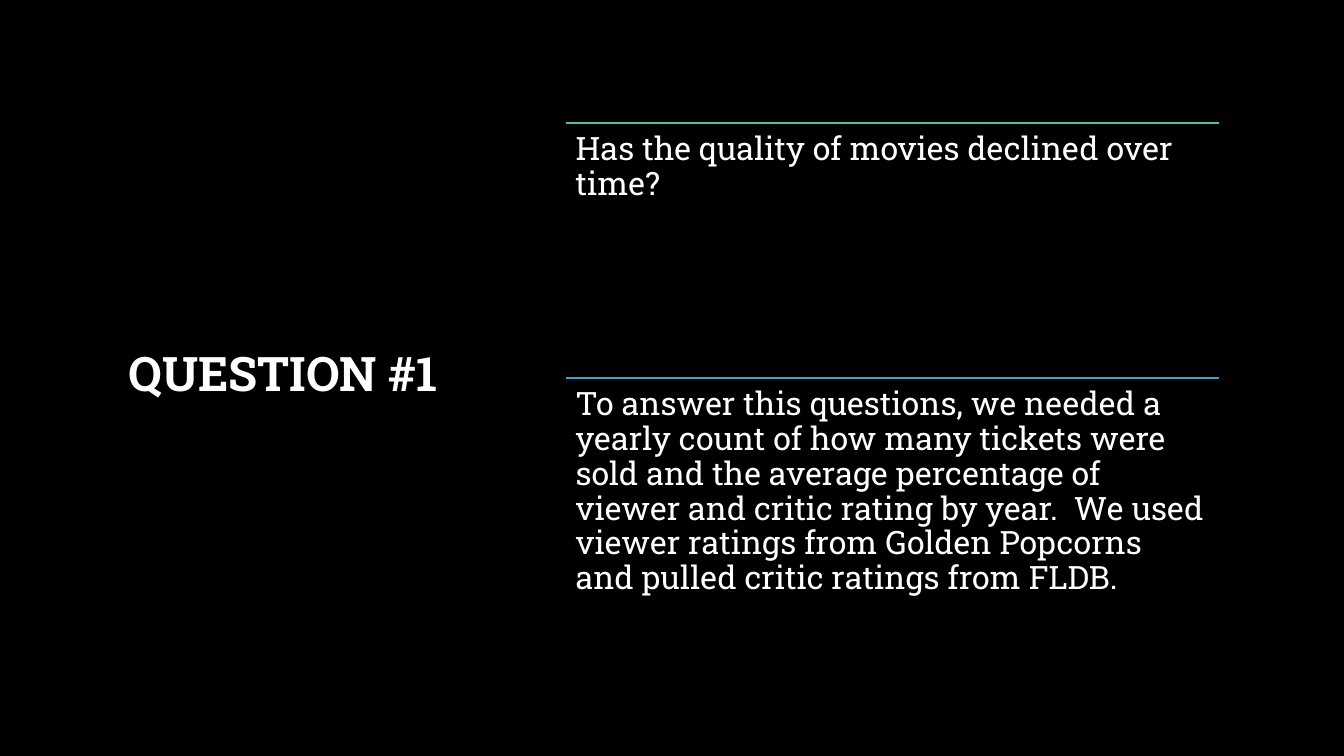
from dataclasses import dataclass

from lxml.etree import SubElement
from pptx import Presentation
from pptx.dml.color import RGBColor
from pptx.enum.shapes import MSO_CONNECTOR
from pptx.enum.text import MSO_ANCHOR, MSO_AUTO_SIZE, PP_ALIGN
from pptx.oxml.ns import qn
from pptx.shapes.placeholder import SlidePlaceholder
from pptx.slide import Slide
from pptx.util import Inches, Pt


@dataclass(frozen=True)
class Theme:
    font: str = "Roboto Slab"
    background: RGBColor = RGBColor(0x00, 0x00, 0x00)
    text: RGBColor = RGBColor(0xFF, 0xFF, 0xFF)
    green: RGBColor = RGBColor(0x50, 0xBE, 0xA3)
    blue: RGBColor = RGBColor(0x4A, 0x9C, 0xCC)
    title_size: int = 34
    body_size: int = 23
    line_spacing: float = 0.9
    rule_width: int = 1


@dataclass(frozen=True)
class Box:
    left: int
    top: int
    width: int
    height: int


@dataclass(frozen=True)
class Section:
    text: str
    rule_color: RGBColor


THEME = Theme()
SLIDE_WIDTH, SLIDE_HEIGHT = Inches(13.33), Inches(7.5)
TWO_CONTENT_LAYOUT = 3

SECTIONS = [
    Section("Has the quality of movies declined over time?", THEME.green),
    Section(
        "To answer this questions, we needed a yearly count of how many tickets "
        "were sold and the average percentage of viewer and critic rating by year.  "
        "We used viewer ratings from Golden Popcorns and pulled critic ratings from FLDB.",
        THEME.blue,
    ),
]


def share_box(left: float, top: float, width: float, height: float) -> Box:
    """Turn percentages of the slide into lengths."""
    return Box(
        int(SLIDE_WIDTH * left / 100),
        int(SLIDE_HEIGHT * top / 100),
        int(SLIDE_WIDTH * width / 100),
        int(SLIDE_HEIGHT * height / 100),
    )


TITLE_BOX = share_box(6.15, 8.93, 29.86, 81.73)
FIRST_SECTION_BOX = share_box(42.08, 16.27, 48.61, 33.73)


def fill_placeholder(
    placeholder: SlidePlaceholder,
    box: Box,
    text: str,
    size: int,
    bold: bool,
    alignment: PP_ALIGN,
    anchor: MSO_ANCHOR,
) -> None:
    placeholder.left, placeholder.top = box.left, box.top
    placeholder.width, placeholder.height = box.width, box.height

    frame = placeholder.text_frame
    frame.text = text
    frame.word_wrap = True
    frame.auto_size = MSO_AUTO_SIZE.NONE
    frame.vertical_anchor = anchor
    frame.margin_left = frame.margin_right = Inches(0.1)
    frame.margin_top = frame.margin_bottom = Inches(0.1)

    paragraph = frame.paragraphs[0]
    paragraph.alignment = alignment
    paragraph.line_spacing = THEME.line_spacing
    paragraph.space_before = Pt(0)
    font = paragraph.runs[0].font
    font.name = THEME.font
    font.size = Pt(size)
    font.bold = bold
    font.color.rgb = THEME.text


def remove_bullet(placeholder: SlidePlaceholder) -> None:
    properties = placeholder.text_frame.paragraphs[0]._p.get_or_add_pPr()
    properties.set("marL", "0")
    properties.set("indent", "0")
    SubElement(properties, qn("a:buNone"))


def add_rule(slide: Slide, box: Box, color: RGBColor) -> None:
    rule = slide.shapes.add_connector(
        MSO_CONNECTOR.STRAIGHT, box.left, box.top, box.left + box.width, box.top
    )
    rule.line.color.rgb = color
    rule.line.width = Pt(THEME.rule_width)
    SubElement(rule._element.spPr, qn("a:effectLst"))


def main() -> None:
    presentation = Presentation()
    presentation.slide_width, presentation.slide_height = SLIDE_WIDTH, SLIDE_HEIGHT
    slide = presentation.slides.add_slide(presentation.slide_layouts[TWO_CONTENT_LAYOUT])

    # Background
    slide.background.fill.solid()
    slide.background.fill.fore_color.rgb = THEME.background

    # Title on the left
    title, *bodies = slide.placeholders
    fill_placeholder(
        title, TITLE_BOX, "QUESTION #1", THEME.title_size, True,
        PP_ALIGN.CENTER, MSO_ANCHOR.MIDDLE,
    )

    # Stacked sections on the right, each under a coloured rule
    first = FIRST_SECTION_BOX
    for row, (body, section) in enumerate(zip(bodies, SECTIONS)):
        box = Box(first.left, first.top + row * first.height, first.width, first.height)
        add_rule(slide, box, section.rule_color)
        fill_placeholder(
            body, box, section.text, THEME.body_size, False,
            PP_ALIGN.LEFT, MSO_ANCHOR.TOP,
        )
        remove_bullet(body)

    presentation.save("out.pptx")


if __name__ == "__main__":
    main()
